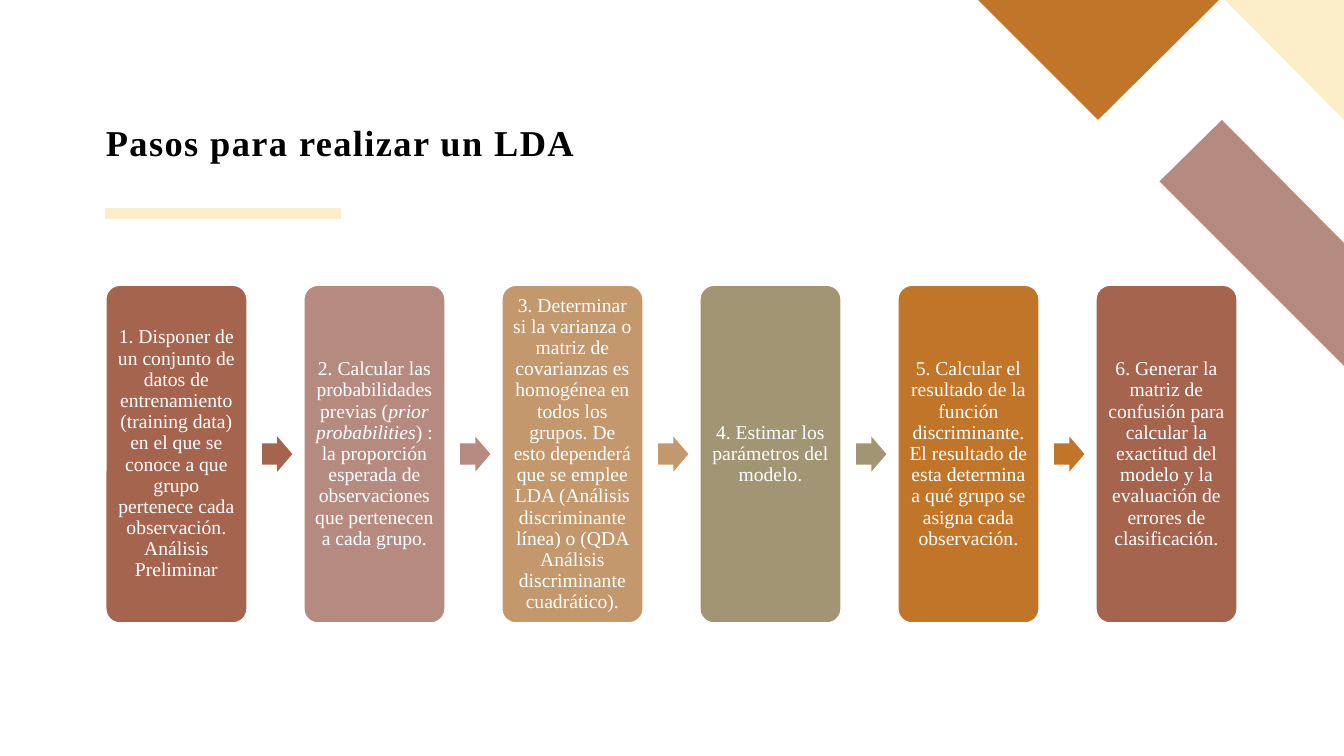
from dataclasses import dataclass
from lxml.etree import SubElement
from pptx import Presentation
from pptx.dml.color import RGBColor as RGB
from pptx.enum.shapes import MSO_CONNECTOR as LINE, MSO_SHAPE as SHAPE
from pptx.enum.text import MSO_ANCHOR as ANCHOR, PP_ALIGN as ALIGN
from pptx.oxml.ns import qn
from pptx.util import Inches, Pt


@dataclass(frozen=True)
class Theme:
    font: str = "Times New Roman"
    title: int = 26
    body: int = 14
    black: str = "000000"
    white: str = "FFFFFF"
    cream: str = "FBEEC9"
    rust: str = "A5644E"
    rose: str = "B58B80"
    tan: str = "C3986D"
    olive: str = "A19574"
    amber: str = "C17529"


class Deck:
    def __init__(self, theme):
        self.theme = theme
        self.file = Presentation()
        self.file.slide_width = Inches(13.33)
        self.file.slide_height = Inches(7.5)
        self.slide = self.file.slides.add_slide(self.file.slide_layouts[6])
        self.items = self.slide.shapes

    def paint(self, shape, fill, edge=None):
        shape.shadow.inherit = False
        shape.fill.solid()
        shape.fill.fore_color.rgb = RGB.from_string(fill)
        if edge:
            shape.line.color.rgb = RGB.from_string(edge)
            shape.line.width = Pt(1)
        else:
            shape.line.fill.background()

    def label(self, frame, parts, size, color, align, pad, anchor, bold=False):
        """Fill a frame with one paragraph; every second part is italic."""
        frame.word_wrap = True
        frame.vertical_anchor = anchor
        frame.margin_left = frame.margin_right = Inches(pad)
        frame.margin_top = frame.margin_bottom = Inches(pad)
        para = frame.paragraphs[0]
        para.alignment, para.line_spacing = align, 0.9
        font = para.font
        font.name, font.size, font.bold = self.theme.font, Pt(size), bold
        font.color.rgb = RGB.from_string(color)
        for i, part in enumerate(parts):
            run = para.add_run()
            run.text = part
            if i % 2:
                run.font.italic = True
        return para

    def title(self, text, x, y, w, h):
        box = self.items.add_textbox(Inches(x), Inches(y), Inches(w), Inches(h))
        para = self.label(box.text_frame, [text], self.theme.title,
                          self.theme.black, ALIGN.JUSTIFY, 0, ANCHOR.BOTTOM, True)
        para.runs[0]._r.get_or_add_rPr().set("spc", "100")

    def rule(self, x, y, end, color, width):
        line = self.items.add_connector(LINE.STRAIGHT, Inches(x), Inches(y),
                                        Inches(end), Inches(y))
        line.line.color.rgb = RGB.from_string(color)
        line.line.width = Pt(width)
        SubElement(line._element.spPr, qn("a:effectLst"))

    def patch(self, points, color):
        start, *rest = [(Inches(x), Inches(y)) for x, y in points]
        shape = self.items.build_freeform(*start)
        shape.add_line_segments(rest, close=True)
        self.paint(shape.convert_to_shape(), color)

    def card(self, parts, x, y, w, h, color):
        card = self.items.add_shape(SHAPE.ROUNDED_RECTANGLE, Inches(x), Inches(y),
                                    Inches(w), Inches(h))
        card.adjustments[0] = 0.1
        self.paint(card, color, self.theme.white)
        self.label(card.text_frame, parts, self.theme.body, self.theme.white,
                   ALIGN.CENTER, 0.06, ANCHOR.MIDDLE)

    def arrow(self, x, y, w, h, color):
        arrow = self.items.add_shape(SHAPE.RIGHT_ARROW, Inches(x), Inches(y),
                                     Inches(w), Inches(h))
        arrow.adjustments[0] = 0.6
        arrow.adjustments[1] = 0.5
        self.paint(arrow, color)


def main():
    theme = Theme()
    deck = Deck(theme)

    # Corner shapes
    deck.patch([(13.33, 3.63), (13.33, 2.41), (12.12, 1.19), (11.5, 1.8)], theme.rose)
    deck.patch([(13.33, 1.19), (13.33, 0), (12.15, 0)], theme.cream)
    deck.patch([(9.7, 0), (10.89, 1.19), (12.09, 0)], theme.amber)

    # Title and rule
    deck.rule(1.04, 2.12, 3.38, theme.cream, 8)
    deck.title("Pasos para realizar un LDA", 1.05, 0.96, 9.05, 0.67)

    # Steps
    steps = [
        (theme.rust, ["1. Disponer de un conjunto de datos de entrenamiento "
                      "(training data) en el que se conoce a que grupo pertenece "
                      "cada observación. Análisis Preliminar"]),
        (theme.rose, ["2. Calcular las probabilidades previas (",
                      "prior probabilities",
                      ") : la proporción esperada de observaciones que pertenecen "
                      "a cada grupo."]),
        (theme.tan, ["3. Determinar si la varianza o matriz de covarianzas es "
                     "homogénea en todos los grupos. De esto dependerá que se "
                     "emplee LDA (Análisis discriminante línea) o (QDA Análisis "
                     "discriminante cuadrático)."]),
        (theme.olive, ["4. Estimar los parámetros del modelo."]),
        (theme.amber, ["5. Calcular el resultado de la función discriminante. El "
                       "resultado de esta determina a qué grupo se asigna cada "
                       "observación."]),
        (theme.rust, ["6. Generar la matriz de confusión para calcular la "
                      "exactitud del modelo y la evaluación de errores de "
                      "clasificación."]),
    ]
    left, last = 1.05, 10.87
    pitch = (last - left) / (len(steps) - 1)
    for i, (color, parts) in enumerate(steps):
        x = left + i * pitch
        deck.card(parts, x, 2.83, 1.4, 3.35, color)
        if i < len(steps) - 1:
            deck.arrow(x + 1.55, 4.33, 0.3, 0.35, color)

    deck.file.save("out.pptx")


if __name__ == "__main__":
    main()
